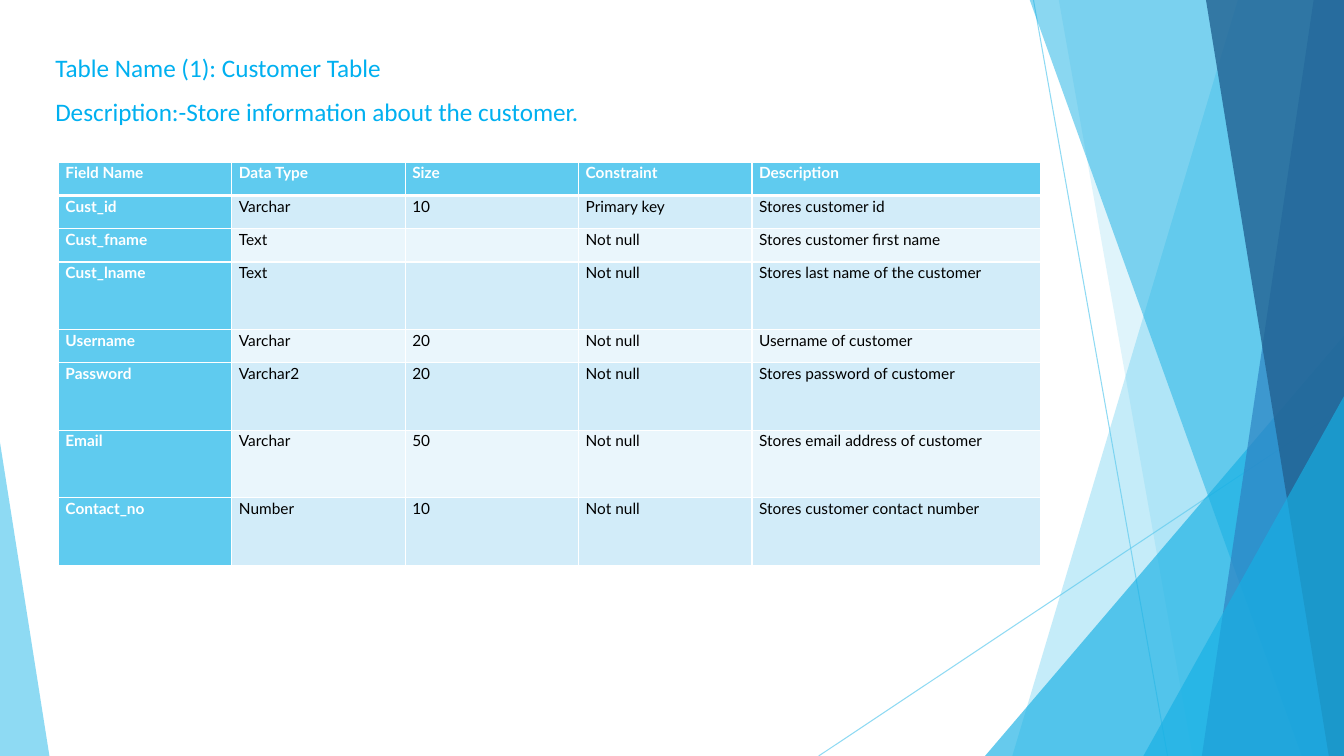
from lxml import etree
from pptx import Presentation
from pptx.dml.color import RGBColor
from pptx.enum.shapes import MSO_CONNECTOR, MSO_SHAPE
from pptx.enum.text import MSO_AUTO_SIZE, PP_ALIGN
from pptx.oxml.ns import qn
from pptx.util import Inches, Pt

STRAIGHT = MSO_CONNECTOR.STRAIGHT
TRIANGLE = MSO_SHAPE.ISOSCELES_TRIANGLE
JUSTIFY = PP_ALIGN.JUSTIFY
LEFT = PP_ALIGN.LEFT
GROW = MSO_AUTO_SIZE.SHAPE_TO_FIT_TEXT

WIDTH, HEIGHT, TOP = 13.33, 7.5, -0.01
SKY, AZURE, BLUE, NAVY = "5FCBEF", "17B0E4", "2E83C3", "226292"
WHITE, BLACK, HEADING = "FFFFFF", "000000", "00B0F0"
BANDS = ("D2ECF9", "EAF6FC")

RAYS = [((10.25, 0), (11.58, 7.5)), ((13.33, 4.03), (8.12, 7.5))]
FACETS_BEHIND = [(12.28, 10.04, SKY, 36), (10.5, 11.83, SKY, 20)]
FACETS_FRONT = [(10.21, 12.91, AZURE, 50), (13.03, 11.92, BLUE, 70), (11.96, 13.18, NAVY, 80)]
COLUMNS = [1.72, 1.72, 1.72, 1.72, 2.86]
ROW_HEIGHTS = [0.33, 0.33, 0.33, 0.67, 0.33, 0.67, 0.67, 0.67]
ROWS = [
    ("Field Name", "Data Type", "Size", "Constraint", "Description"),
    ("Cust_id", "Varchar", "10", "Primary key", "Stores customer id"),
    ("Cust_fname", "Text", "", "Not null", "Stores customer first name"),
    ("Cust_lname", "Text", "", "Not null", "Stores last name of the customer"),
    ("Username", "Varchar", "20", "Not null", "Username of customer"),
    ("Password", "Varchar2", "20", "Not null", "Stores password of customer"),
    ("Email", "Varchar", "50", "Not null", "Stores email address of customer"),
    ("Contact_no", "Number", "10", "Not null", "Stores customer contact number"),
]


def rgb(value):
    return RGBColor.from_string(value)


class SlideBuilder:
    """Holds the text style and the current slide, and adds elements to it."""

    line_spacing = 1.07
    heading_font, table_font = "Calibri", "Lato"

    def __init__(self, slide):
        self.slide = slide
        self.shapes = slide.shapes

    def set_alpha(self, properties, percent):
        color = next(properties.iter(qn("a:srgbClr")))
        etree.SubElement(color, qn("a:alpha")).set("val", str(percent * 1000))

    def paint(self, shape, color, alpha):
        shape.shadow.inherit = False
        shape.fill.solid()
        shape.fill.fore_color.rgb = rgb(color)
        shape.line.fill.background()
        self.set_alpha(shape._element.spPr, alpha)

    def ray(self, start, end):
        points = [Inches(value) for value in start + end]
        connector = self.shapes.add_connector(STRAIGHT, *points)
        connector.line.color.rgb = rgb(SKY)
        connector.line.width = Pt(0.75)
        properties = connector._element.spPr
        self.set_alpha(properties, 70)
        etree.SubElement(properties, qn("a:effectLst"))

    def facet(self, top_left, bottom_left, color, alpha):
        corners = [(WIDTH, TOP), (WIDTH, HEIGHT), (bottom_left, HEIGHT)]
        builder = self.shapes.build_freeform(Inches(top_left), Inches(TOP))
        builder.add_line_segments([(Inches(x), Inches(y)) for x, y in corners])
        self.paint(builder.convert_to_shape(), color, alpha)

    def triangle(self, left, top, width, height, apex, color, alpha):
        box = [Inches(value) for value in (left, top, width, height)]
        shape = self.shapes.add_shape(TRIANGLE, *box)
        shape.adjustments[0] = apex
        self.paint(shape, color, alpha)

    def add_text(self, paragraph, text, font, size, color, bold=False):
        paragraph.line_spacing = self.line_spacing
        run = paragraph.add_run()
        run.text = text
        run.font.name = font
        run.font.size = Pt(size)
        run.font.bold = bold
        run.font.color.rgb = rgb(color)

    def heading(self, left, top, width, height, lines):
        box = [Inches(value) for value in (left, top, width, height)]
        frame = self.shapes.add_textbox(*box).text_frame
        frame.word_wrap = True
        frame.auto_size = GROW
        for index, line in enumerate(lines):
            paragraph = frame.add_paragraph() if index else frame.paragraphs[0]
            paragraph.space_after = Pt(8)
            self.add_text(paragraph, line, self.heading_font, 18, HEADING)

    def borders(self, cell, row):
        properties = cell._tc.get_or_add_tcPr()
        widths = {"L": 1, "R": 1, "T": 3 if row == 1 else 1, "B": 3 if row == 0 else 1}
        for side, width in widths.items():
            line = etree.SubElement(properties, qn(f"a:ln{side}"), w=str(Pt(width)))
            fill = etree.SubElement(line, qn("a:solidFill"))
            etree.SubElement(fill, qn("a:srgbClr"), val=WHITE)

    def cell(self, cell, row, column, text):
        accent = row == 0 or column == 0
        self.borders(cell, row)
        cell.fill.solid()
        cell.fill.fore_color.rgb = rgb(SKY if accent else BANDS[(row - 1) % 2])
        cell.margin_left = cell.margin_right = Inches(0.07)
        cell.margin_top = cell.margin_bottom = 0
        if text:
            paragraph = cell.text_frame.paragraphs[0]
            paragraph.alignment = JUSTIFY if row else LEFT
            self.add_text(paragraph, text, self.table_font, 11, WHITE if accent else BLACK, accent)

    def table(self, left, top, columns, heights, rows):
        box = [Inches(value) for value in (left, top, sum(columns), sum(heights))]
        table = self.shapes.add_table(len(rows), len(columns), *box).table
        table.first_col = True
        for column, width in zip(table.columns, columns):
            column.width = Inches(width)
        for row, height in zip(table.rows, heights):
            row.height = Inches(height)
        for row, texts in enumerate(rows):
            for column, text in enumerate(texts):
                self.cell(table.cell(row, column), row, column, text)


def main():
    presentation = Presentation()
    presentation.slide_width = Inches(WIDTH)
    presentation.slide_height = Inches(HEIGHT)
    builder = SlideBuilder(presentation.slides.add_slide(presentation.slide_layouts[6]))

    for start, end in RAYS:
        builder.ray(start, end)
    for facet in FACETS_BEHIND:
        builder.facet(*facet)
    builder.triangle(9.77, 3.33, 3.56, 4.17, 1, AZURE, 66)
    for facet in FACETS_FRONT:
        builder.facet(*facet)
    builder.triangle(11.34, 3.93, 1.99, 3.57, 1, AZURE, 66)
    builder.triangle(0, 4.39, 0.49, 3.11, 0, SKY, 70)

    builder.heading(0.45, 0.45, 6.67, 0.86, [
        "Table Name (1): Customer Table",
        "Description:-Store information about the customer.",
    ])
    builder.table(0.58, 1.61, COLUMNS, ROW_HEIGHTS, ROWS)
    presentation.save("out.pptx")


if __name__ == "__main__":
    main()
